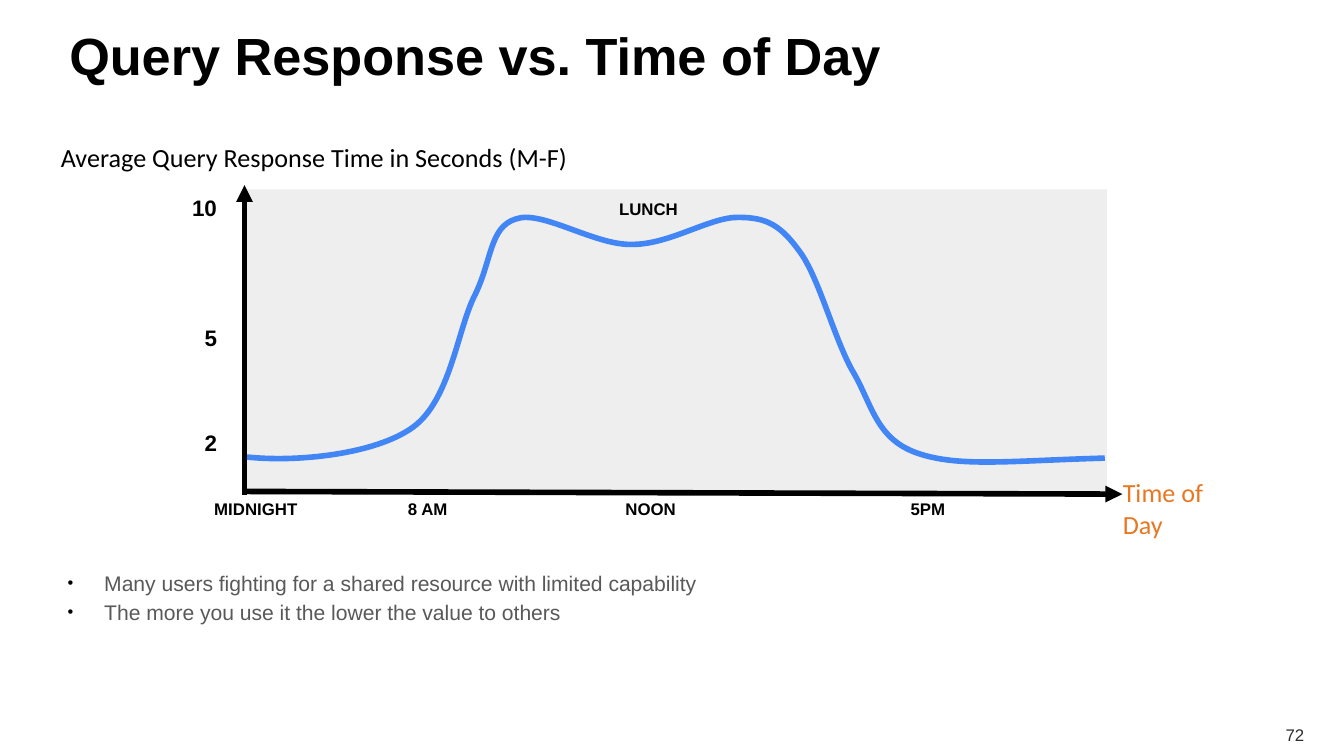
from dataclasses import dataclass

from lxml import etree
from pptx import Presentation
from pptx.dml.color import RGBColor
from pptx.enum.shapes import MSO_CONNECTOR, MSO_SHAPE
from pptx.enum.text import MSO_ANCHOR, MSO_AUTO_SIZE, PP_ALIGN
from pptx.oxml.ns import qn
from pptx.util import Cm, Pt

STRAIGHT = MSO_CONNECTOR.STRAIGHT
RECTANGLE = MSO_SHAPE.RECTANGLE
TOP, MIDDLE = MSO_ANCHOR.TOP, MSO_ANCHOR.MIDDLE
FIXED, GROW = MSO_AUTO_SIZE.NONE, MSO_AUTO_SIZE.SHAPE_TO_FIT_TEXT
LEFT, RIGHT = PP_ALIGN.LEFT, PP_ALIGN.RIGHT

BLACK = RGBColor(0x00, 0x00, 0x00)
PLOT_GREY = RGBColor(0xEE, 0xEE, 0xEE)
BODY_GREY = RGBColor(0x59, 0x59, 0x59)
NUMBER_GREY = RGBColor(0x2D, 0x2D, 0x2D)
ORANGE = RGBColor(0xE8, 0x77, 0x22)
BLUE = RGBColor(0x42, 0x85, 0xF4)

VALUE_RIGHT = 4.28
TIME_TOP = 9.33
CURVE_START = (4.67, 8.64)
CURVE_SEGMENTS = [
    ((5.61, 8.74), (7.09, 8.59), (7.8, 8.08)),
    ((8.51, 7.57), (8.64, 6.25), (8.97, 5.59)),
    ((9.3, 4.93), (9.25, 4.29), (9.75, 4.14)),
    ((10.24, 3.96), (11.25, 4.65), (11.96, 4.62)),
    ((12.67, 4.62), (13.44, 4.09), (13.97, 4.11)),
    ((14.5, 4.11), (14.76, 4.27), (15.11, 4.75)),
    ((15.47, 5.23), (15.75, 6.35), (16.1, 6.99)),
    ((16.48, 7.62), (16.54, 8.28), (17.32, 8.56)),
    ((18.11, 8.84), (19.08, 8.71), (20.88, 8.66)),
]
BULLETS = [
    "Many users fighting for a shared resource with limited capability",
    "The more you use it the lower the value to others",
]


@dataclass
class Label:
    text: str
    left: float
    top: float
    width: float
    height: float = 0.58
    size: float = 9
    font: str = "Arial"
    color: RGBColor = BLACK
    bold: bool = True
    align: PP_ALIGN = LEFT


def value_label(text: str, top: float, width: float) -> Label:
    return Label(text, VALUE_RIGHT - width, top, width, 0.71, 12, align=RIGHT)


LABELS = [
    Label("Average Query Response Time in Seconds (M-F)", 0.97, 2.59, 11.48, 0.79,
          14, "Calibri", bold=False),
    Label("Time of Day", 21.04, 8.92, 2.7, 1.4, 14, "Calibri", ORANGE, False),
    Label("MIDNIGHT", 3.87, TIME_TOP, 1.98),
    Label("8 AM", 7.53, TIME_TOP, 1.15, 0.97),
    Label("NOON", 11.64, TIME_TOP, 1.36),
    Label("5PM", 17.03, TIME_TOP, 1.05),
    Label("LUNCH", 11.52, 3.66, 1.5),
    value_label("10", 3.58, 0.86),
    value_label("5", 6.03, 0.62),
    value_label("2", 8.03, 0.62),
]


def set_font(para, name: str, size: float, color: RGBColor, bold: bool = False) -> None:
    para.font.name = name
    para.font.size = Pt(size)
    para.font.bold = bold
    para.font.color.rgb = color


def set_frame(frame, side: float, edge: float, anchor, auto_size) -> None:
    frame.margin_left = frame.margin_right = Cm(side)
    frame.margin_top = frame.margin_bottom = Cm(edge)
    frame.vertical_anchor = anchor
    frame.auto_size = auto_size
    frame.word_wrap = True


def place(shape, left: float, top: float, width: float, height: float) -> None:
    shape.left, shape.top = Cm(left), Cm(top)
    shape.width, shape.height = Cm(width), Cm(height)


def add_label(page, label: Label):
    box = page.shapes.add_textbox(Cm(label.left), Cm(label.top),
                                  Cm(label.width), Cm(label.height))
    set_frame(box.text_frame, 0.18, 0.09, TOP, GROW)
    para = box.text_frame.paragraphs[0]
    para.text = label.text
    para.alignment = label.align
    set_font(para, label.font, label.size, label.color, label.bold)
    return box


def add_axis(page, start: tuple[float, float], end: tuple[float, float]) -> None:
    axis = page.shapes.add_connector(STRAIGHT, Cm(start[0]), Cm(start[1]),
                                     Cm(end[0]), Cm(end[1]))
    axis.line.color.rgb = BLACK
    axis.line.width = Pt(3)
    etree.SubElement(axis.line._get_or_add_ln(), qn("a:tailEnd"), type="triangle")
    etree.SubElement(axis._element.spPr, qn("a:effectLst"))


def add_curve(page) -> None:
    builder = page.shapes.build_freeform(Cm(CURVE_START[0]), Cm(CURVE_START[1]))
    builder.add_line_segments([(Cm(x), Cm(y)) for *_, (x, y) in CURVE_SEGMENTS],
                              close=False)
    curve = builder.convert_to_shape()
    lines = list(curve._element.iter(qn("a:lnTo")))
    for line, controls in zip(lines, CURVE_SEGMENTS):
        bend = etree.Element(qn("a:cubicBezTo"))
        for x, y in controls:
            etree.SubElement(bend, qn("a:pt"), x=str(Cm(x) - curve.left),
                             y=str(Cm(y) - curve.top))
        line.getparent().replace(line, bend)
    curve.shadow.inherit = False
    curve.fill.background()
    curve.line.color.rgb = BLUE
    curve.line.width = Pt(3)


def add_bullet(para) -> None:
    properties = para._p.get_or_add_pPr()
    properties.set("marL", str(Cm(0.7)))
    properties.set("indent", str(Cm(-0.69)))
    color = etree.SubElement(properties, qn("a:buClr"))
    etree.SubElement(color, qn("a:srgbClr"), val=str(BLACK))
    etree.SubElement(properties, qn("a:buSzPct"), val="78000")
    etree.SubElement(properties, qn("a:buFont"), typeface="Arial")
    etree.SubElement(properties, qn("a:buChar"), char="•")


def fill_title(title) -> None:
    place(title, 1.31, 0.57, 16.43, 2.08)
    set_frame(title.text_frame, 0, 0, TOP, FIXED)
    para = title.text_frame.paragraphs[0]
    para.text = "Query Response vs. Time of Day"
    para.alignment = LEFT
    para.line_spacing = 0.9
    set_font(para, "Arial", 28, BLACK, True)


def fill_body(body) -> None:
    place(body, 1.27, 10.87, 17.25, 1.45)
    frame = body.text_frame
    set_frame(frame, 0, 0, TOP, FIXED)
    frame.text = "\n".join(BULLETS)
    for index, para in enumerate(frame.paragraphs):
        add_bullet(para)
        para.line_spacing = 0.8
        para.space_before = Pt(5 if index else 0)
        para.space_after = Pt(12 if index else 0)
        set_font(para, "Arial", 11.3, BODY_GREY)


def main() -> None:
    deck = Presentation()
    deck.slide_width, deck.slide_height = Cm(25.4), Cm(14.29)
    page = deck.slides.add_slide(deck.slide_layouts[1])
    fill_title(page.shapes.title)
    fill_body(page.placeholders[1])

    plot = page.shapes.add_shape(RECTANGLE, Cm(4.67), Cm(3.58), Cm(16.25), Cm(5.77))
    plot.shadow.inherit = False
    plot.fill.solid()
    plot.fill.fore_color.rgb = PLOT_GREY
    plot.line.fill.background()

    add_axis(page, (4.62, 9.35), (4.62, 3.5))
    add_axis(page, (4.62, 9.29), (21.21, 9.34))
    add_curve(page)
    for label in LABELS:
        add_label(page, label)
    number = add_label(page, Label("72", 23.38, 13.51, 1.27, 0.76,
                                   color=NUMBER_GREY, bold=False, align=RIGHT))
    set_frame(number.text_frame, 0, 0, MIDDLE, FIXED)
    deck.save("out.pptx")


if __name__ == "__main__":
    main()
